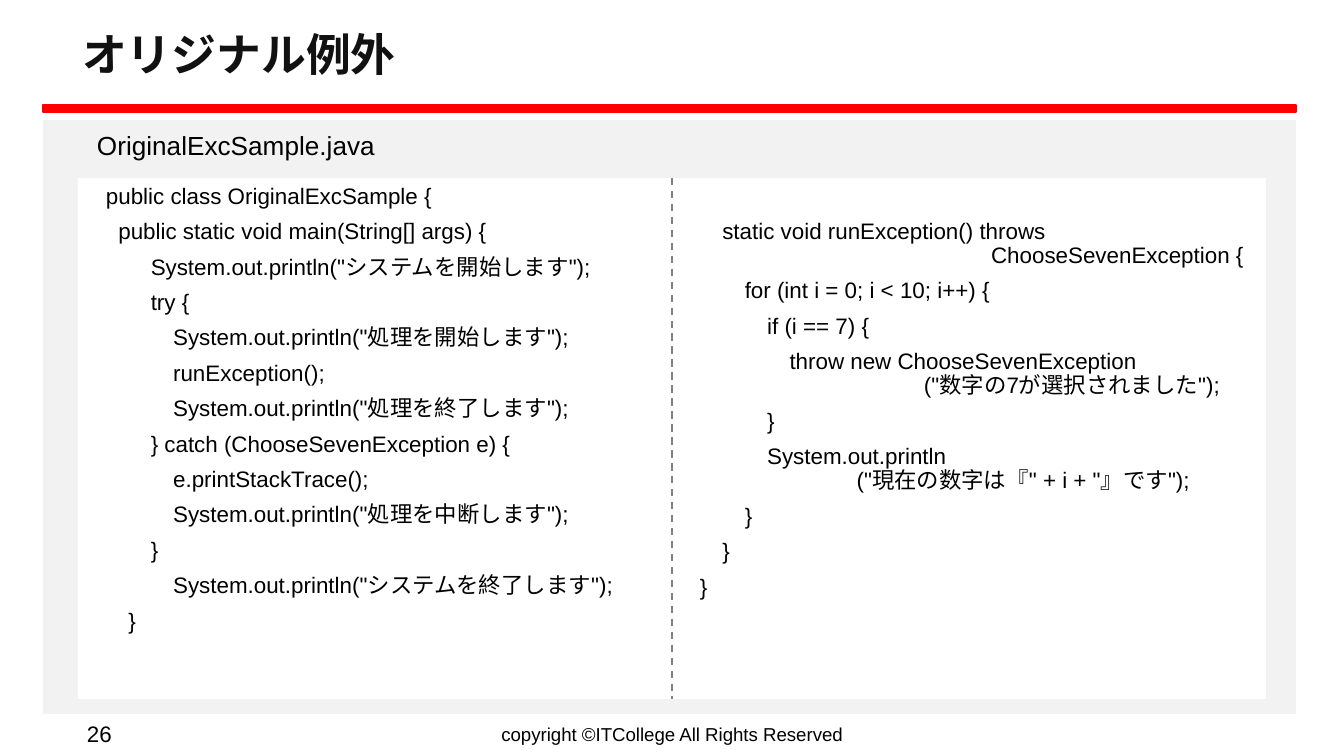
from lxml.etree import SubElement as Sub
from pptx import Presentation
from pptx.dml.color import RGBColor as Rgb
from pptx.enum.dml import MSO_LINE as Dash
from pptx.enum.shapes import MSO_CONNECTOR as Link, MSO_SHAPE as Kind
from pptx.enum.text import MSO_ANCHOR as Anchor, PP_ALIGN as Align
from pptx.oxml.ns import qn
from pptx.util import Pt

WIDE, HIGH = 1344, 756
SCALE = 9144000 / WIDE
TITLE = {"size": Pt(24), "bold": True}
FILE = {"size": Pt(14)}
CODE = {"size": Pt(12)}
NOTE = {"size": Pt(10)}
BODY = {"line_spacing": 0.9, "space_before": Pt(6)}

MAIN = [
    (0, "public class OriginalExcSample {"),
    (0, "  public static void main(String[] args) {"),
    (2, 'System.out.println("システムを開始します");'),
    (2, "try {"),
    (3, 'System.out.println("処理を開始します");'),
    (3, "runException();"),
    (3, 'System.out.println("処理を終了します");'),
    (2, "} catch (ChooseSevenException e) {"),
    (3, "e.printStackTrace();"),
    (3, 'System.out.println("処理を中断します");'),
    (2, "}"),
    (3, 'System.out.println("システムを終了します");'),
    (1, "}"),
]
RUN = [
    (1, "static void runException() throws", 13, "ChooseSevenException {"),
    (2, "for (int i = 0; i < 10; i++) {"),
    (3, "if (i == 7) {"),
    (4, "throw new ChooseSevenException", 10, '("数字の7が選択されました");'),
    (3, "}"),
    (3, "System.out.println", 7, '("現在の数字は『" + i + "』です");'),
    (2, "}"),
    (1, "}"),
    (0, "}"),
]


def px(num):
    """Turn pixels into EMU."""
    return round(num * SCALE)


def hue(code):
    """Turn a hex string into a colour."""
    return Rgb.from_string(code)


def put(item, form):
    """Set each attribute named in a dict."""
    for key, val in form.items():
        setattr(item, key, val)


def rect(slide, box, fill):
    """Add a plain filled rectangle without outline."""
    shape = slide.shapes.add_shape(Kind.RECTANGLE, *map(px, box))
    shape.shadow.inherit = False
    shape.fill.solid()
    shape.fill.fore_color.rgb = hue(fill)
    shape.line.fill.background()
    return shape


def write(shape, lines, font, para=None, frame=None, ink="000000"):
    """Fill a shape with one paragraph per line."""
    text = shape.text_frame
    base = {"word_wrap": True, "vertical_anchor": Anchor.TOP}
    put(text, base | (frame or {}))
    for num, line in enumerate(lines):
        part = text.add_paragraph() if num else text.paragraphs[0]
        part.text = line
        put(part, {"alignment": Align.LEFT} | (para or {}))
        if not num:
            part.space_before = Pt(0)
        put(part.font, {"name": "Arial"} | font)
        part.font.color.rgb = hue(ink)


def label(slide, box, text, font, **form):
    """Add a text box holding a single line."""
    write(slide.shapes.add_textbox(*map(px, box)), [text], font, **form)


def indent(row):
    """Join depth and text pairs into one wide-spaced paragraph."""
    return "\n".join("　" * deep + text for deep, text in zip(row[::2], row[1::2]))


def panel(slide, box, rows, top):
    """Add a white code panel whose text starts at the given inset."""
    frame = {"margin_left": px(28), "margin_top": px(top)}
    write(rect(slide, box, "FFFFFF"), map(indent, rows), CODE, BODY, frame)


def split(slide, box):
    """Draw two code panels with a dashed line between them."""
    left, top, width, height = box
    half = width // 2
    mid = left + half
    panel(slide, (left, top, half, height), MAIN, 7)
    panel(slide, (mid, top, half, height), RUN, 42)
    rule = slide.shapes.add_connector(Link.STRAIGHT, *map(px, (mid, top, mid, top + height)))
    put(rule.line, {"width": Pt(1), "dash_style": Dash.DASH})
    rule.line.color.rgb = hue("808080")
    Sub(rule.element.spPr, qn("a:effectLst"))


def head(slide, box):
    """Draw the title above its red bar."""
    left, top, width, height = box
    bar = rect(slide, (left, top + height - 7, width, 7), "FF0000")
    bar.line.color.rgb = hue("FF0000")
    bar.line.width = Pt(1)
    label(slide, (left + 26, top, width - 45, 79), "オリジナル例外", TITLE,
          para={"line_spacing": 0.9}, frame={"vertical_anchor": Anchor.MIDDLE}, ink="111111")


def body(slide, box):
    """Draw the grey area with the file name and the code."""
    left, top, width, height = box
    rect(slide, box, "F2F2F2")
    label(slide, (left + 26, top + 6, width - 45, 52), "OriginalExcSample.java", FILE,
          para=BODY, frame={"margin_left": px(28)})
    split(slide, (left + 35, top + 58, width - 65, height - 73))


def foot(slide, box):
    """Draw the page number and the copyright line."""
    left, top, width, height = box
    mid = {"vertical_anchor": Anchor.MIDDLE}
    label(slide, (left, top, 93, height), "26", CODE,
          para={"alignment": Align.RIGHT}, frame=mid)
    label(slide, (left + 413, top, 454, height), "copyright ©ITCollege All Rights Reserved",
          NOTE, para={"alignment": Align.CENTER}, frame=mid)


def main():
    """Build the slide and save it."""
    deck = Presentation()
    put(deck, {"slide_width": px(WIDE), "slide_height": px(HIGH)})
    slide = deck.slides.add_slide(deck.slide_layouts[6])
    body(slide, (43, 120, 1253, 594))
    head(slide, (43, 17, 1253, 95))
    foot(slide, (32, 715, 1280, 38))
    deck.save("out.pptx")


if __name__ == "__main__":
    main()
